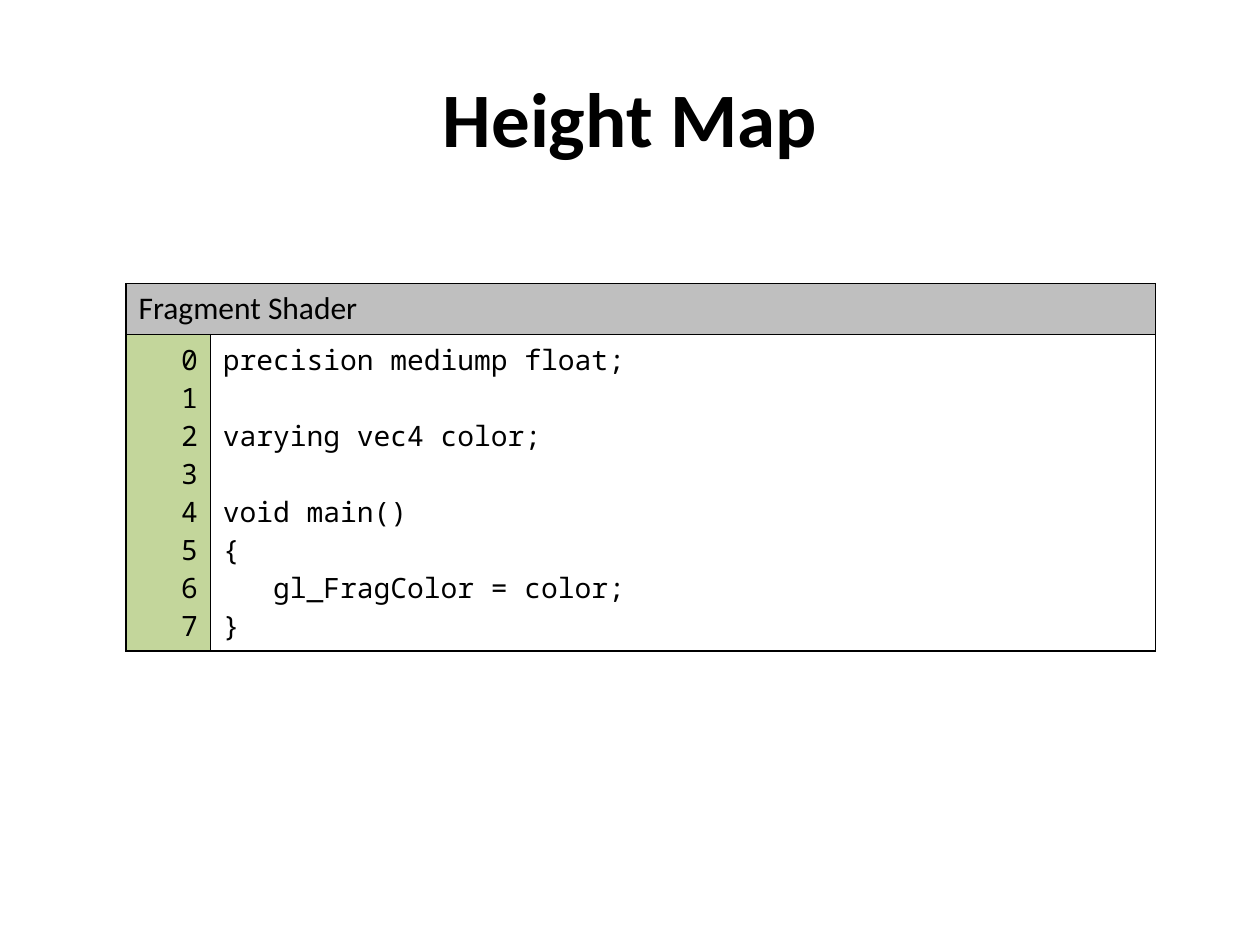
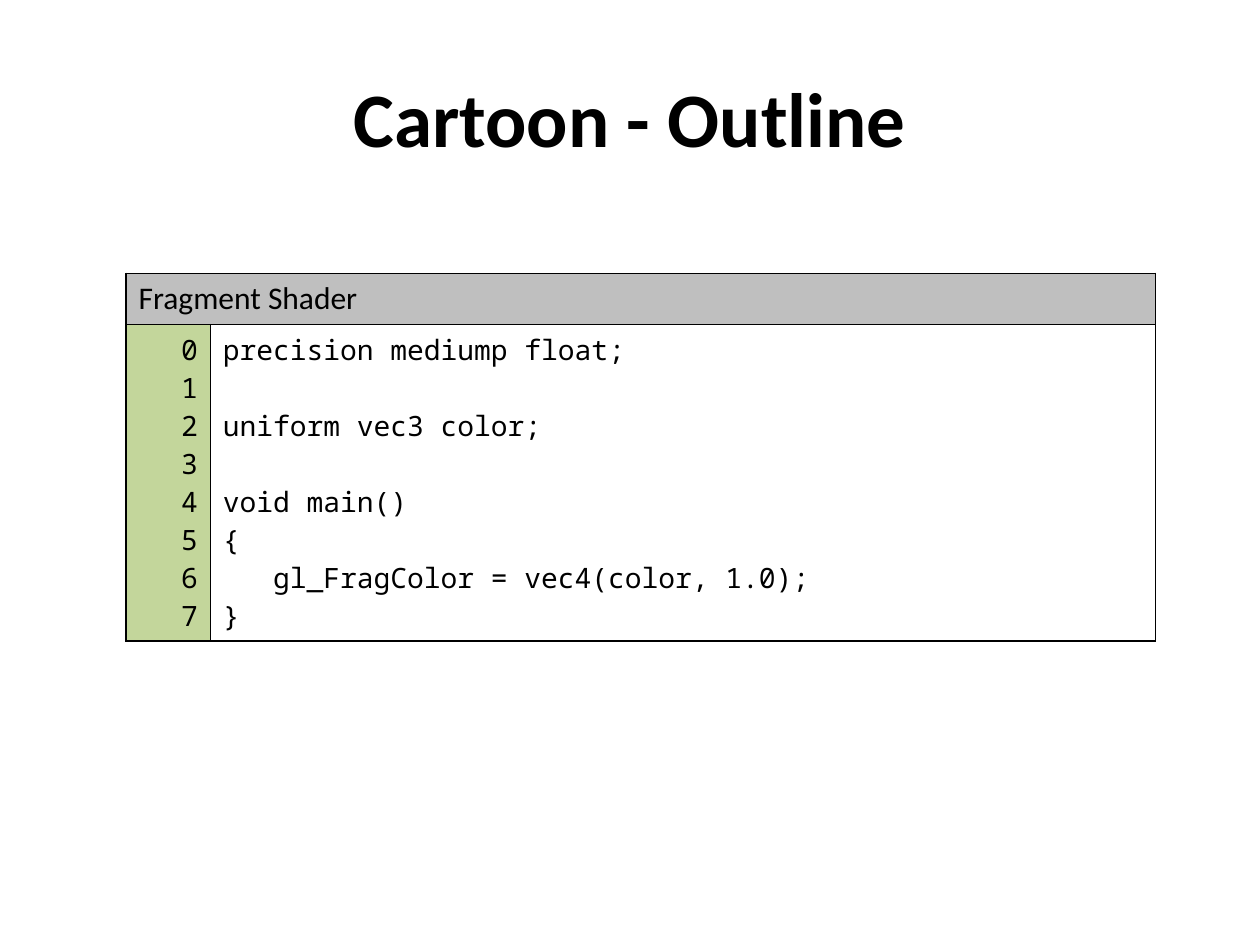
from lxml import etree
from pptx import Presentation
from pptx.dml.color import RGBColor
from pptx.enum.text import MSO_ANCHOR, PP_ALIGN
from pptx.oxml.ns import qn
from pptx.util import Inches, Pt

LEFT, CENTER, RIGHT = PP_ALIGN.LEFT, PP_ALIGN.CENTER, PP_ALIGN.RIGHT
MIDDLE = MSO_ANCHOR.MIDDLE
TITLE_ONLY_LAYOUT = 5

# Shared look
SLIDE_WIDTH, SLIDE_HEIGHT = Inches(10), Inches(7.5)
TEXT_FONT, CODE_FONT = "Calibri", "Noto Sans Mono"
TITLE_SIZE, HEADER_SIZE, CODE_SIZE = 44, 18, 16
BLACK, WHITE, HEADER_GREY, NUMBER_GREEN = "000000", "FFFFFF", "BFBFBF", "C3D69B"

# Table grid, in inches
COLUMN_WIDTHS = (0.67, 7.5)
ROW_HEIGHTS = (0.38, 2.04)

SHADER = """precision mediump float;

{declaration}

void main()
{{
   gl_FragColor = {result};
}}"""


def color(hex_string):
    return RGBColor.from_string(hex_string)


def style_paragraph(paragraph, font_name, size, alignment, bold=False):
    paragraph.alignment = alignment
    font = paragraph.font
    font.name, font.size, font.bold = font_name, Pt(size), bold
    font.color.rgb = color(BLACK)
    if not paragraph.runs:  # an empty line takes its height from its end mark
        end_mark = paragraph._p.get_or_add_endParaRPr()
        end_mark.set("sz", str(size * 100))
        etree.SubElement(end_mark, qn("a:latin"), typeface=font_name)


def add_title(slide, text):
    title = slide.shapes.title
    title.left, title.top = int(SLIDE_WIDTH * 0.05), int(SLIDE_HEIGHT * 0.04)
    title.width, title.height = int(SLIDE_WIDTH * 0.9), Inches(1.25)
    title.text_frame.text = text
    title.text_frame.vertical_anchor = MIDDLE
    style_paragraph(title.text_frame.paragraphs[0], TEXT_FONT, TITLE_SIZE, CENTER, True)


def add_borders(cell):
    properties = cell._tc.get_or_add_tcPr()
    for side in ("lnL", "lnR", "lnT", "lnB"):
        line = etree.SubElement(properties, qn(f"a:{side}"), w=str(Pt(1)))
        fill = etree.SubElement(line, qn("a:solidFill"))
        etree.SubElement(fill, qn("a:srgbClr"), val=BLACK)


def fill_cell(cell, text, fill, font_name, size, alignment=LEFT):
    cell.text = text
    for paragraph in cell.text_frame.paragraphs:
        style_paragraph(paragraph, font_name, size, alignment)
    cell.fill.solid()
    cell.fill.fore_color.rgb = color(fill)


def add_code_table(slide, top, heading, code):
    frame = slide.shapes.add_table(
        len(ROW_HEIGHTS), len(COLUMN_WIDTHS), int(SLIDE_WIDTH * 0.1), Inches(top),
        Inches(sum(COLUMN_WIDTHS)), Inches(sum(ROW_HEIGHTS)))
    table = frame.table
    table.first_row = table.horz_banding = False
    for column, width in zip(table.columns, COLUMN_WIDTHS):
        column.width = Inches(width)
    for row, height in zip(table.rows, ROW_HEIGHTS):
        row.height = Inches(height)
    for cell in table.iter_cells():
        add_borders(cell)

    # Heading across both columns, then line numbers beside the code
    table.cell(0, 0).merge(table.cell(0, 1))
    fill_cell(table.cell(0, 0), heading, HEADER_GREY, TEXT_FONT, HEADER_SIZE)
    numbers = "\n".join(str(number) for number in range(len(code.splitlines())))
    fill_cell(table.cell(1, 0), numbers, NUMBER_GREEN, CODE_FONT, CODE_SIZE, RIGHT)
    fill_cell(table.cell(1, 1), code, WHITE, CODE_FONT, CODE_SIZE)


def add_shader_slide(presentation, title, table_top, declaration, result):
    slide = presentation.slides.add_slide(presentation.slide_layouts[TITLE_ONLY_LAYOUT])
    slide.background.fill.solid()
    slide.background.fill.fore_color.rgb = color(WHITE)
    add_title(slide, title)
    code = SHADER.format(declaration=declaration, result=result)
    add_code_table(slide, table_top, "Fragment Shader", code)


def main():
    presentation = Presentation()
    presentation.slide_width, presentation.slide_height = SLIDE_WIDTH, SLIDE_HEIGHT
    add_shader_slide(presentation, "Height Map", 2.25, "varying vec4 color;", "color")
    add_shader_slide(presentation, "Cartoon - Outline", 2.17, "uniform vec3 color;",
                     "vec4(color, 1.0)")
    presentation.save("out.pptx")


if __name__ == "__main__":
    main()
